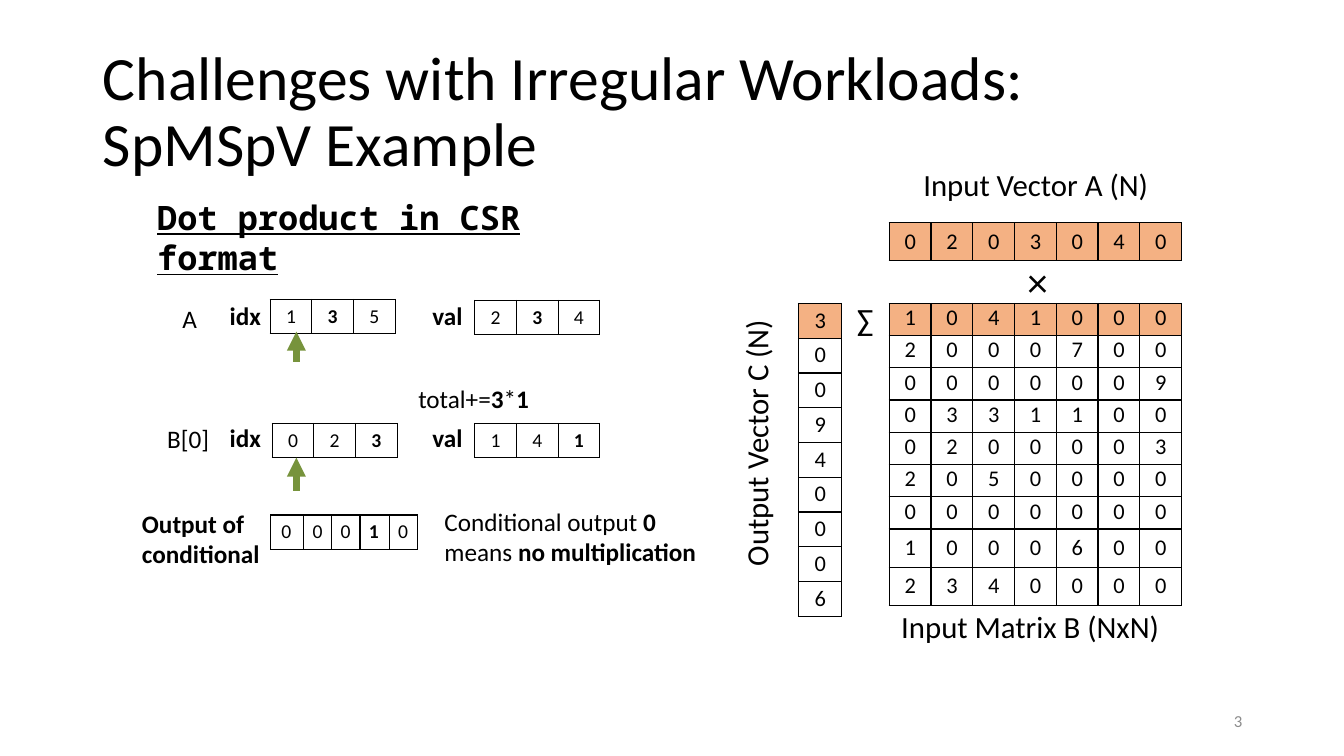
from lxml.etree import SubElement
from pptx import Presentation
from pptx.dml.color import RGBColor
from pptx.enum.shapes import MSO_CONNECTOR as Link, MSO_SHAPE as Shape
from pptx.enum.text import MSO_ANCHOR as Anchor, MSO_AUTO_SIZE as Fit, PP_ALIGN as Align
from pptx.oxml.ns import qn
from pptx.util import Pt

PX = 9144
BLACK = RGBColor(0x00, 0x00, 0x00)
WHITE = RGBColor(0xFF, 0xFF, 0xFF)
ORANGE = RGBColor(0xF4, 0xB1, 0x83)
GREEN = RGBColor(0x77, 0x93, 0x3C)
GRAY = RGBColor(0x8C, 0x8C, 0x8C)
SANS, MONO = "Calibri", "Noto Sans Mono"

TITLE = "Challenges with Irregular Workloads: SpMSpV Example"
HEADING = "|Dot product in CSR format"
MATRIX = ["1041000", "2000700", "0000009", "0331100", "0200003",
          "2050000", "0000000", "1000600", "2340000"]
VECTOR = ["0203040"]
OUTPUT = list("300940006")
# Text between bars is bold.
LISTS = [
    (268, 297, ["1", "|3", "5"]),
    (471, 298, ["2", "|3", "4"]),
    (270, 420, ["0", "2", "|3"]),
    (471, 420, ["1", "4", "|1"]),
]
LABELS = [
    ("Input Vector A (N)", 906, 160, 246, 47, 22, False),
    ("×", 1009, 249, 41, 60, 29.4, False),
    ("∑", 840, 293, 37, 47, 22, False),
    ("Input Matrix B (NxN)", 884, 598, 279, 47, 22, False),
    ("A", 171, 296, 35, 40, 18, False),
    ("B[0]", 156, 415, 64, 40, 18, True),
    ("|idx", 218, 293, 51, 40, 18, False),
    ("|val", 419, 293, 50, 40, 18, False),
    ("|idx", 218, 414, 51, 40, 18, False),
    ("|val", 419, 414, 50, 40, 18, False),
    ("total+=|3|*|1", 405, 375, 131, 40, 18, False),
    ("|Output of conditional", 131, 499, 137, 71, 18, True),
    ("Conditional output |0| means |no multiplication", 431, 497, 279, 71, 18, True),
]
ARROWS = [(294, 359, 329), (294, 487, 454)]
FLAGS = ["0", "0", "0", "|1", "0"]
EDGES = [268, 301, 329, 357, 386, 414]


def write(frame, text, size, color=BLACK, font=SANS, align=Align.LEFT):
    """Fill a frame's first paragraph, with bold text between bars."""
    par = frame.paragraphs[0]
    par.alignment = align
    for i, part in enumerate(text.split("|")):
        if part:
            run = par.add_run()
            run.text = part
            run.font.size = Pt(size)
            run.font.name = font
            run.font.bold = i % 2 == 1
            run.font.color.rgb = color
    return par


def inset(item, side, top, base):
    """Set the margins of a cell or text frame in px."""
    item.margin_left = item.margin_right = side * PX
    item.margin_top, item.margin_bottom = top * PX, base * PX


def label(shapes, text, x, y, w, h, size, wrap=False, **style):
    """Add a text box."""
    box = shapes.add_textbox(x * PX, y * PX, w * PX, h * PX)
    frame = box.text_frame
    frame.word_wrap = wrap
    frame.auto_size = Fit.SHAPE_TO_FIT_TEXT
    write(frame, text, size, **style)
    return box


def grid(shapes, rows, x, y, w, highs, size, fill, rest=None, tight=0, space=None):
    """Add a bordered table whose first row has its own fill."""
    count = len(rows[0])
    table = shapes.add_table(len(rows), count, x * PX, y * PX,
                             w * PX, sum(highs) * PX).table
    table.first_row = table.horz_banding = False
    for col in table.columns:
        col.width = w * PX // count
    for r, (row, high) in enumerate(zip(rows, highs)):
        table.rows[r].height = high * PX
        for c, text in enumerate(row):
            cell = table.cell(r, c)
            inset(cell, *((1, 1, 0) if r < tight else (9, 5, 5)))
            par = write(cell.text_frame, text, size, align=Align.CENTER)
            if space:
                par.line_spacing = space
            border(cell)
            tint = fill if r == 0 else rest
            if tint:
                cell.fill.solid()
                cell.fill.fore_color.rgb = tint
            else:
                cell.fill.background()


def border(cell):
    """Give a cell thin black edges."""
    props = cell._tc.get_or_add_tcPr()
    for side in ("a:lnL", "a:lnR", "a:lnT", "a:lnB"):
        edge = SubElement(props, qn(side), w=str(Pt(1)))
        paint = SubElement(edge, qn("a:solidFill"))
        SubElement(paint, qn("a:srgbClr"), val=str(BLACK))


def rule(shapes, x1, y1, x2, y2, color, width, head=False):
    """Add a straight line, with an arrowhead at its end if asked."""
    line = shapes.add_connector(Link.STRAIGHT, x1 * PX, y1 * PX, x2 * PX, y2 * PX)
    line.line.color.rgb = color
    line.line.width = Pt(width)
    if head:
        SubElement(line.get_or_add_ln(), qn("a:tailEnd"), type="triangle")
    SubElement(line._element.spPr, qn("a:effectLst"))


def strip(shapes):
    """Draw the row of condition results."""
    rect = shapes.add_shape(Shape.RECTANGLE, 268 * PX, 511 * PX, 32 * PX, 34 * PX)
    rect.shadow.inherit = False
    rect.fill.solid()
    rect.fill.fore_color.rgb = WHITE
    rect.line.fill.background()
    for x in EDGES:
        rule(shapes, x, 510, x, 546, BLACK, 0.88)
    for y in (511, 545):
        rule(shapes, EDGES[0], y, EDGES[-1] + 1, y, BLACK, 0.88)
    for text, left, right in zip(FLAGS, EDGES, EDGES[1:]):
        box = label(shapes, text, (left + right) // 2 - 5, 515, 10, 24, 14)
        inset(box.text_frame, 0, 0, 0)


def main():
    """Build the slide and save it."""
    deck = Presentation()
    deck.slide_width, deck.slide_height = 1333 * PX, 750 * PX
    shapes = deck.slides.add_slide(deck.slide_layouts[5]).shapes

    title = shapes.title
    title.left, title.top, title.width, title.height = (
        n * PX for n in (92, 40, 1150, 145))
    frame = title.text_frame
    frame.auto_size = Fit.NONE
    frame.vertical_anchor = Anchor.MIDDLE
    write(frame, TITLE, 44).line_spacing = 0.9

    grid(shapes, MATRIX, 882, 301, 290, [32] * 7 + [38] * 2, 16, ORANGE, tight=7)
    grid(shapes, VECTOR, 882, 221, 290, [36], 16, ORANGE)
    grid(shapes, OUTPUT, 792, 301, 43, [33] * 9, 16, ORANGE, space=0.9)
    for x, y, row in LISTS:
        grid(shapes, [row], x, y, 124, [33], 14, WHITE)

    for item in LABELS:
        label(shapes, *item)
    label(shapes, "Output Vector C (N)", 616, 414, 268, 47, 22).rotation = 270
    head = label(shapes, HEADING, 146, 190, 485, 50, 24, True, font=MONO)
    head.text_frame.paragraphs[0].runs[0].font.underline = True

    for x, start, end in ARROWS:
        rule(shapes, x, start, x, end, GREEN, 4.5, head=True)
    strip(shapes)

    page = label(shapes, "3", 942, 695, 300, 40, 12, True, color=GRAY, align=Align.RIGHT)
    page.text_frame.auto_size = Fit.NONE
    page.text_frame.vertical_anchor = Anchor.MIDDLE
    deck.save("out.pptx")


if __name__ == "__main__":
    main()
